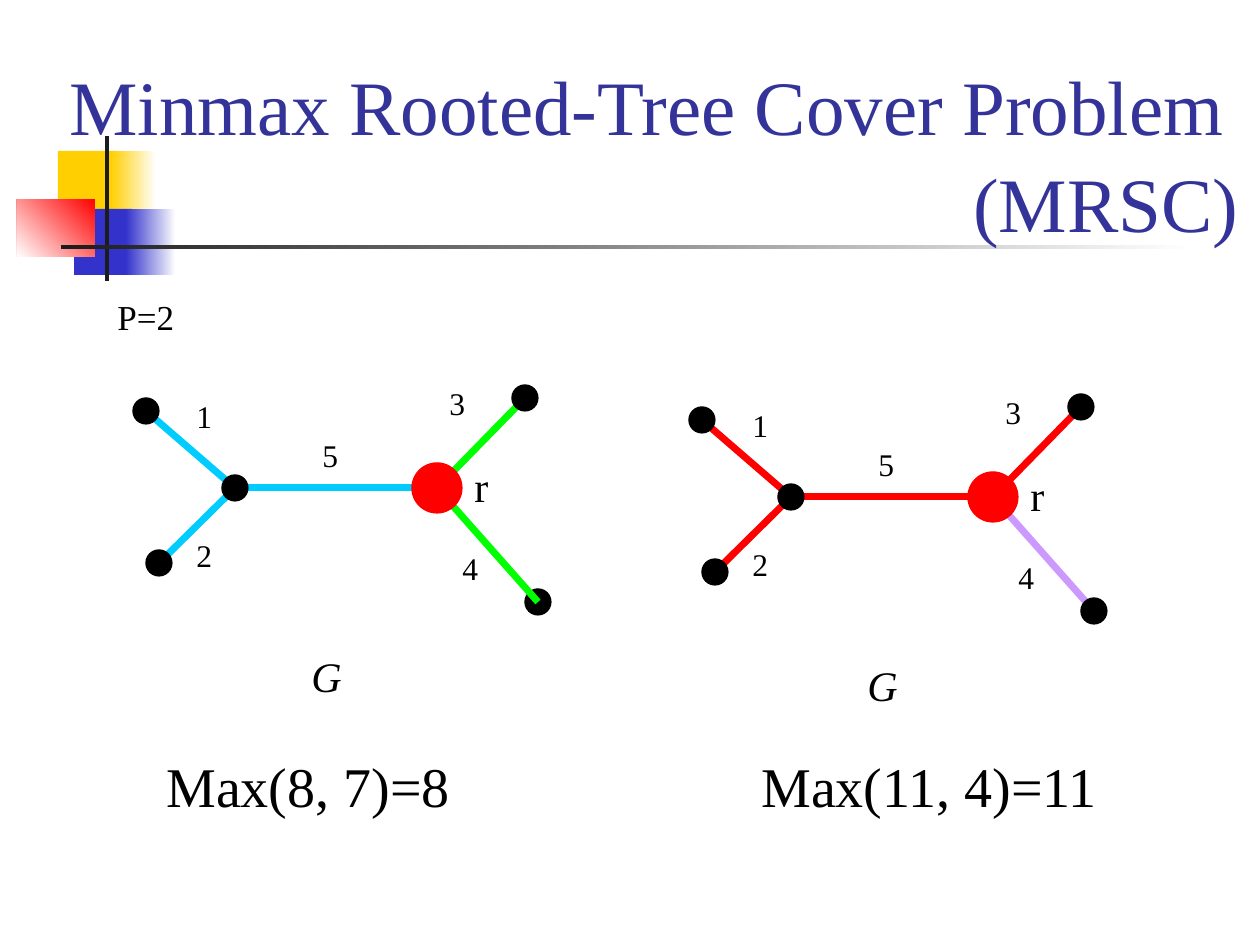
import pptx
import pptx.dml.color
import pptx.enum.shapes
import pptx.enum.text
import pptx.oxml.ns
import pptx.util
from lxml import etree

SCALE = 914400 // 126
FONT = "Times New Roman"
SHAPES = pptx.enum.shapes.MSO_SHAPE
ALIGN = pptx.enum.text.PP_ALIGN
ANCHOR = pptx.enum.text.MSO_ANCHOR

NODES = {
    "upper": (146, 411),
    "lower": (159, 563),
    "hub": (235, 488),
    "root": (437, 488),
    "three": (525, 398),
    "four": (538, 602),
}
EDGES = [
    ("hub", "root"),
    ("upper", "hub"),
    ("hub", "lower"),
    ("three", "root"),
    ("root", "four"),
]
WEIGHTS = [
    ("1", 184, 386),
    ("2", 184, 525),
    ("5", 310, 425),
    ("3", 437, 373),
    ("4", 450, 538),
]


def px(length):
    return pptx.util.Emu(length * SCALE)


def color(code):
    return pptx.dml.color.RGBColor.from_string(code)


def add_text(page, text, left, top, width, height, size=18, code="000000",
             italic=False, aligns=(ALIGN.LEFT,), anchor=ANCHOR.TOP,
             spacing=1.0, inset=11):
    box = page.shapes.add_textbox(px(left), px(top), px(width), px(height))
    frame = box.text_frame
    frame.word_wrap = True
    frame.vertical_anchor = anchor
    frame.margin_top = px(inset)
    frame.text = text
    for para, align in zip(frame.paragraphs, aligns):
        para.alignment = align
        para.line_spacing = spacing
        para.font.name = FONT
        para.font.size = pptx.util.Pt(size)
        para.font.italic = italic
        para.font.color.rgb = color(code)


def add_block(page, left, top, width, height, code, fade=None):
    block = page.shapes.add_shape(
        SHAPES.RECTANGLE, px(left), px(top), px(width), px(height))
    block.shadow.inherit = False
    block.line.fill.background()
    if fade is None:
        block.fill.solid()
        block.fill.fore_color.rgb = color(code)
    else:
        block.fill.gradient()
        block.fill.gradient_angle = fade
        for stop, shade in zip(block.fill.gradient_stops, (code, "FFFFFF")):
            stop.color.rgb = color(shade)


def add_node(page, center, radius, code):
    x, y = center
    node = page.shapes.add_shape(
        SHAPES.OVAL, px(x - radius), px(y - radius),
        px(2 * radius), px(2 * radius))
    node.shadow.inherit = False
    node.fill.solid()
    node.fill.fore_color.rgb = color(code)
    node.line.color.rgb = color(code)
    node.line.width = pptx.util.Pt(0.75)


def add_edge(page, start, end, code):
    edge = page.shapes.add_connector(
        pptx.enum.shapes.MSO_CONNECTOR.STRAIGHT,
        px(start[0]), px(start[1]), px(end[0]), px(end[1]))
    edge.line.color.rgb = color(code)
    edge.line.width = pptx.util.Pt(4)
    etree.SubElement(edge._element.spPr, pptx.oxml.ns.qn("a:effectLst"))


def add_tree(page, dx, dy, edge_colors, edges_in_front=0):
    points = {name: (x + dx, y + dy) for name, (x, y) in NODES.items()}
    edges = list(zip(EDGES, edge_colors))
    split = len(edges) - edges_in_front
    for (start, end), code in edges[:split]:
        add_edge(page, points[start], points[end], code)
    for name, center in points.items():
        if name != "root":
            add_node(page, center, 13, "000000")
    for (start, end), code in edges[split:]:
        add_edge(page, points[start], points[end], code)
    add_node(page, points["root"], 25, "FF0000")
    for weight, left, top in WEIGHTS:
        add_text(page, weight, left + dx, top + dy, 50, 50)
    add_text(page, "r", 462 + dx, 450 + dy, 88, 63, size=24)
    add_text(page, "G", 299 + dx, 640 + dy, 113, 63, size=24, italic=True)


def add_decoration(page):
    add_block(page, 58, 151, 60, 66, "FFCF01")
    add_block(page, 111, 151, 45, 66, "FFCF01", fade=0)
    add_block(page, 74, 209, 58, 66, "3333CC")
    add_block(page, 126, 209, 50, 66, "3333CC", fade=0)
    add_block(page, 17, 199, 78, 58, "FF0000", fade=225)
    add_block(page, 105, 136, 4, 145, "1C1C1C")
    add_block(page, 61, 245, 1134, 4, "1C1C1C", fade=0)


def main():
    deck = pptx.Presentation()
    deck.slide_width = px(1260)
    deck.slide_height = px(945)
    page = deck.slides.add_slide(deck.slide_layouts[6])
    add_decoration(page)
    add_text(page, "Minmax Rooted-Tree Cover Problem\n(MRSC)",
             57, 26, 1194, 228, size=44, code="333399",
             aligns=(ALIGN.LEFT, ALIGN.RIGHT), anchor=ANCHOR.BOTTOM,
             spacing=1.05, inset=6)
    add_text(page, "P=2", 105, 284, 110, 55, size=20)
    add_tree(page, 0, 0, ["00CCFF"] * 3 + ["00FF00"] * 2, edges_in_front=1)
    add_tree(page, 556, 9, ["FF0000"] * 4 + ["CC99FF"])
    add_text(page, "Max(8, 7)=8", 154, 741, 328, 81, size=32)
    add_text(page, "Max(11, 4)=11", 749, 741, 407, 81, size=32)
    deck.save("out.pptx")


if __name__ == "__main__":
    main()
